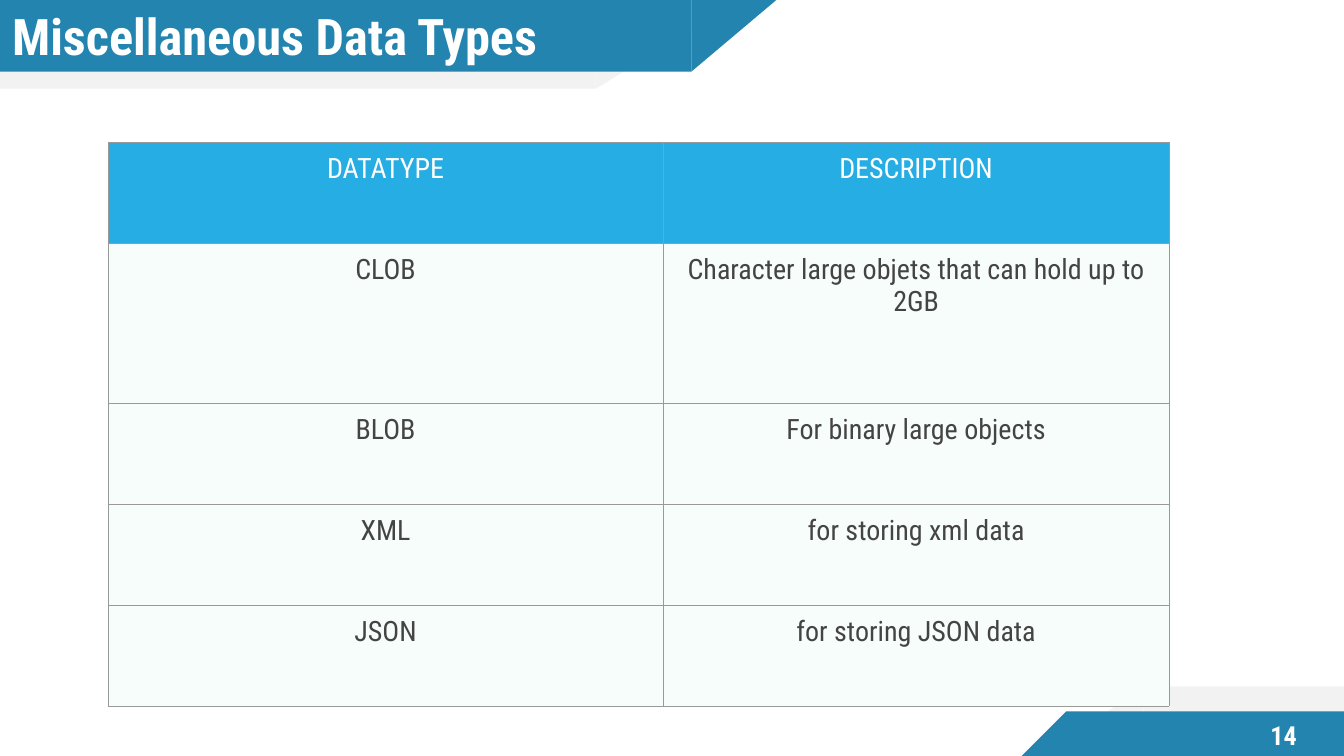
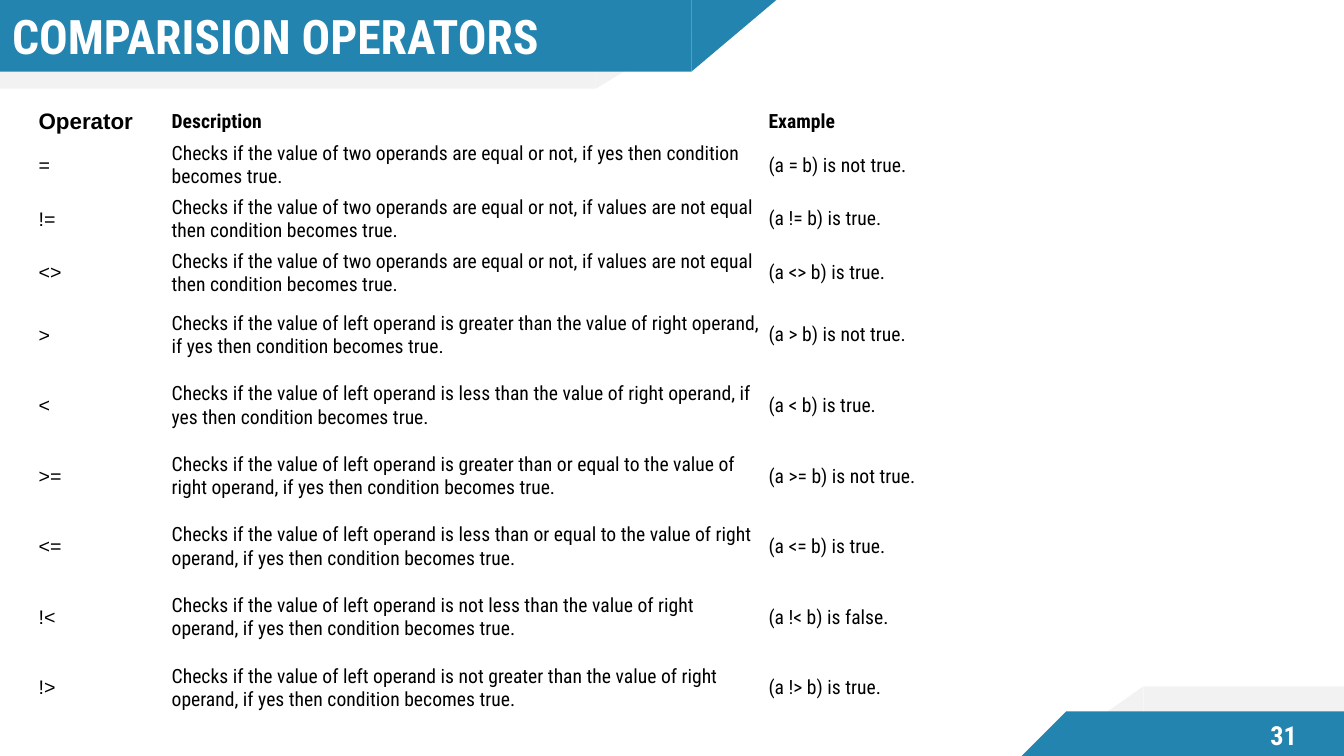
from dataclasses import dataclass

from lxml.etree import SubElement
from pptx import Presentation
from pptx.dml.color import RGBColor
from pptx.enum.shapes import MSO_SHAPE as SHAPE
from pptx.enum.text import MSO_ANCHOR as ANCHOR, PP_ALIGN as ALIGN
from pptx.oxml.ns import qn
from pptx.util import Inches, Pt


@dataclass(frozen=True)
class Theme:
    """Colours, fonts and type sizes of the deck."""
    blue: str = "2384AF"
    grey: str = "F2F2F2"
    header: str = "26ADE4"
    cell: str = "F7FDFA"
    border: str = "999999"
    body: str = "444444"
    white: str = "FFFFFF"
    black: str = "000000"
    font: str = "Roboto Condensed"
    symbol_font: str = "Arial"
    number_size: float = 18.7
    large: int = 20
    medium: int = 16
    small: int = 14
    border_width: float = 0.38


T = Theme()
COLS, ROWS = 160, 90
NO_STYLE = "{2D5ABB26-0587-4C30-8999-92F81FD0307C}"

prs = Presentation()
prs.slide_width, prs.slide_height = Inches(13.33), Inches(7.5)
UNIT = prs.slide_height / ROWS


def grid(*cells):
    """Turn grid units into slide lengths."""
    return [round(n * UNIT) for n in cells]


def rgb(value):
    """Read a hex colour."""
    return RGBColor.from_string(value)


def write(holder, text, size=T.large, color=T.black, font=T.font, bold=False,
          align=ALIGN.LEFT, anchor=ANCHOR.MIDDLE, inset=(0, 0, 0, 0)):
    """Write formatted text in a text box or a table cell."""
    tf = holder.text_frame
    frame = tf if hasattr(holder, "shape_type") else holder
    frame.vertical_anchor = anchor
    (frame.margin_left, frame.margin_top,
     frame.margin_right, frame.margin_bottom) = grid(*inset)
    tf.word_wrap = True
    p = tf.paragraphs[0]
    p.alignment = align
    r = p.add_run()
    r.text = text
    r.font.size, r.font.name, r.font.bold = Pt(size), font, bold
    r.font.color.rgb = rgb(color)


def band(s, box, tip, color, top):
    """Draw a band with a slanted end: right end at the top, left end at the foot."""
    x, y, w, h = box
    body_x, tip_x = (x, x + w - tip) if top else (x + tip, x)
    shapes = s.shapes.add_group_shape().shapes
    for kind, left, width in ((SHAPE.RECTANGLE, body_x, w - tip),
                              (SHAPE.RIGHT_TRIANGLE, tip_x, tip)):
        sp = shapes.add_shape(kind, *grid(left, y, width, h))
        sp.shadow.inherit = False
        sp.fill.solid()
        sp.fill.fore_color.rgb = rgb(color)
        sp.line.fill.background()
        sp.rotation = 180 if top else 0
        sp._element.spPr.find(qn("a:xfrm")).set("flipH", "1")


def frame_slide(title, size, number):
    """Add a slide with its bands, title and page number."""
    s = prs.slides.add_slide(prs.slide_layouts[6])
    band(s, (0, 0, 88.3, 10.56), 17.4, T.grey, top=True)
    band(s, (0, 0, 92.4, 8.52), 10.1, T.blue, top=True)
    band(s, (124.3, 81.7, COLS - 124.3, ROWS - 81.7), 11.8, T.grey, top=False)
    band(s, (121.6, 84.7, COLS - 121.6, ROWS - 84.7), 5.3, T.blue, top=False)
    write(s.shapes.add_textbox(*grid(0, 0.6, 88.3, 7.3)), title, size=size,
          color=T.white, bold=True, inset=(1.44, 0, 0, 0))
    write(s.shapes.add_textbox(*grid(147.5, 84.84, 10.56, 5.4)), str(number),
          size=T.number_size, color=T.white, bold=True, align=ALIGN.CENTER,
          inset=(1.2,) * 4)
    return s


def outline(cell):
    """Draw the four borders of a cell."""
    tc_pr = cell._tc.get_or_add_tcPr()
    for side in ("a:lnL", "a:lnR", "a:lnT", "a:lnB"):
        ln = SubElement(tc_pr, qn(side), w=str(Pt(T.border_width)))
        SubElement(SubElement(ln, qn("a:solidFill")), qn("a:srgbClr"), val=T.border)


def table(s, corner, widths, heights, rows, style):
    """Place a table; style gives fill, border and text format by row and column."""
    box = grid(*corner, sum(widths), sum(heights))
    tbl = s.shapes.add_table(len(rows), len(widths), *box).table
    tbl.first_row = tbl.horz_banding = False
    tbl._tbl.tblPr.find(qn("a:tableStyleId")).text = NO_STYLE
    for column, width in zip(tbl.columns, grid(*widths)):
        column.width = width
    for row, height in zip(tbl.rows, grid(*heights)):
        row.height = height
    for i, texts in enumerate(rows):
        for j, text in enumerate(texts):
            cell = tbl.cell(i, j)
            fill, bordered, text_format = style(i, j)
            if bordered:
                outline(cell)
            if fill:
                cell.fill.solid()
                cell.fill.fore_color.rgb = rgb(fill)
            else:
                cell.fill.background()
            write(cell, text, **text_format)


def type_style(i, j):
    """Style of the data type table."""
    color = T.body if i else T.white
    return (T.cell if i else T.header), True, dict(
        color=color, align=ALIGN.CENTER, anchor=ANCHOR.TOP, inset=(0.6, 1.2, 0.6, 1.2))


def operator_style(i, j):
    """Style of the operator table."""
    return None, False, dict(
        size=T.medium if (i, j) == (0, 0) else T.small, bold=i == 0,
        font=T.font if j else T.symbol_font, inset=(0.4,) * 4)


def data_types_slide():
    """Build the slide of miscellaneous data types."""
    rows = [
        ("DATATYPE", "DESCRIPTION"),
        ("CLOB", "Character large objets that can hold up to 2GB"),
        ("BLOB", "For binary large objects"),
        ("XML", "for storing xml data"),
        ("JSON", "for storing JSON data"),
    ]
    s = frame_slide("Miscellaneous Data Types", 36, 14)
    table(s, (12.84, 16.92), (66.1, 60.2), (12, 19.1, 12, 12, 12), rows, type_style)


def operators_slide():
    """Build the slide of comparison operators."""
    equality = ("Checks if the value of two operands are equal or not, "
                "if {} then condition becomes true.")
    order = ("Checks if the value of left operand is {} the value of right operand, "
             "if yes then condition becomes true.")
    operators = [
        ("=", equality, "yes", "not true"),
        ("!=", equality, "values are not equal", "true"),
        ("<>", equality, "values are not equal", "true"),
        (">", order, "greater than", "not true"),
        ("<", order, "less than", "true"),
        (">=", order, "greater than or equal to", "not true"),
        ("<=", order, "less than or equal to", "true"),
        ("!<", order, "not less than", "false"),
        ("!>", order, "not greater than", "true"),
    ]
    rows = [("Operator", "Description", "Example")]
    rows += [(sign, sentence.format(test), f"(a {sign} b) is {result}.")
             for sign, sentence, test, result in operators]
    s = frame_slide("COMPARISION OPERATORS", 34, 31)
    table(s, (4.2, 12.5), (15.84, 71.04, 71.04), [3.84] + [6.24] * 3 + [8.4] * 6,
          rows, operator_style)


data_types_slide()
operators_slide()
prs.save("out.pptx")
